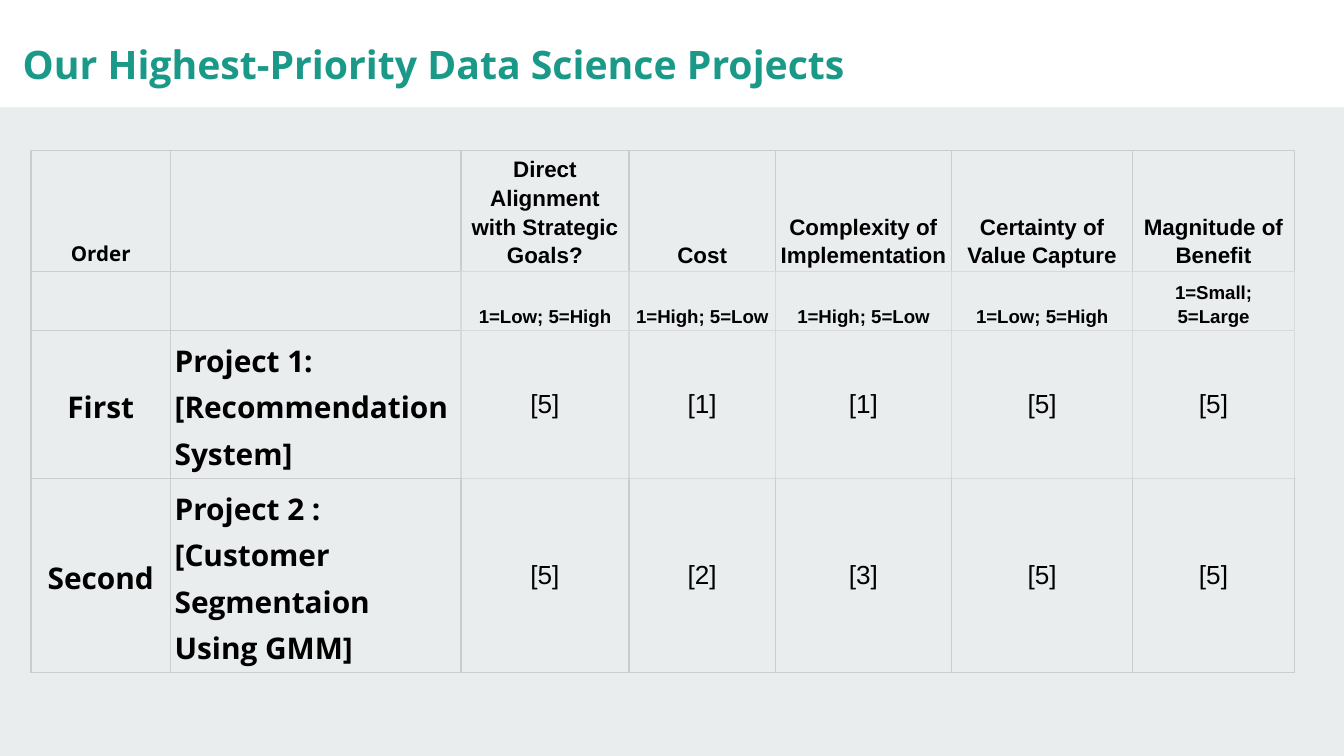
from lxml import etree
from pptx import Presentation
from pptx.dml.color import RGBColor
from pptx.enum.shapes import MSO_SHAPE
from pptx.enum.text import MSO_ANCHOR, PP_ALIGN
from pptx.oxml.ns import qn
from pptx.util import Inches, Pt

RECTANGLE = MSO_SHAPE.RECTANGLE
MIDDLE, BOTTOM = MSO_ANCHOR.MIDDLE, MSO_ANCHOR.BOTTOM
LEFT, CENTER = PP_ALIGN.LEFT, PP_ALIGN.CENTER

SLIDE_WIDTH = Inches(10)
SLIDE_HEIGHT = Inches(10 * 9 / 16)
COLUMN_WIDTHS = [1.04, 2.16, 1.25, 1.09, 1.31, 1.35, 1.2]
ROW_HEIGHTS = [0.34, 0.44, 0.44, 0.44]
RANKING = [
    ["Order", "", "Direct Alignment with Strategic Goals?", "Cost",
     "Complexity of Implementation", "Certainty of Value Capture",
     "Magnitude of Benefit"],
    ["", "", "1=Low; 5=High", "1=High; 5=Low", "1=High; 5=Low",
     "1=Low; 5=High", "1=Small; 5=Large"],
    ["First", "Project 1:\n[Recommendation System]",
     "[5]", "[1]", "[1]", "[5]", "[5]"],
    ["Second", "Project 2 :\n[Customer Segmentaion Using GMM]",
     "[5]", "[2]", "[3]", "[5]", "[5]"],
]
EDGES = {"a:lnL": (0, -1), "a:lnR": (0, 1), "a:lnT": (-1, 0), "a:lnB": (1, 0)}

TITLE = {"name": "Open Sans", "size": Pt(21), "bold": True}
ORDER = {"name": "Open Sans", "size": Pt(11), "bold": True}
CRITERION = {"name": "Arial", "size": Pt(12), "bold": True}
SCALE = {"name": "Arial", "size": Pt(10), "bold": True}
PROJECT = {"name": "Open Sans", "size": Pt(16), "bold": True}
SCORE = {"name": "Arial", "size": Pt(14), "bold": False}


def rgb(color):
    return RGBColor.from_string(color)


def write(frame, text, font_format, color, align, spacing):
    frame.text = text
    for paragraph in frame.paragraphs:
        paragraph.alignment = align
        paragraph.line_spacing = spacing
        for run in paragraph.runs:
            run.font.color.rgb = rgb(color)
            for attribute, value in font_format.items():
                setattr(run.font, attribute, value)


def add_title_band(slide):
    band = slide.shapes.add_shape(RECTANGLE, 0, 0, SLIDE_WIDTH, Inches(0.8))
    band.shadow.inherit = False
    band.fill.solid()
    band.fill.fore_color.rgb = rgb("FFFFFF")
    band.line.fill.background()


def add_title(slide, text):
    title = slide.shapes.add_textbox(
        Inches(0.07), Inches(0.15), Inches(8.44), Inches(0.37))
    frame = title.text_frame
    frame.word_wrap = True
    for side in ("left", "right", "top", "bottom"):
        setattr(frame, f"margin_{side}", Inches(0.1))
    write(frame, text, TITLE, "1A9988", LEFT, 1.15)


def is_rated(row, column):
    return row in (1, 2) and column >= 2


def draw_borders(cell, row, column):
    properties = cell._tc.get_or_add_tcPr()
    for tag, (down, across) in EDGES.items():
        light = is_rated(row, column) or is_rated(row + down, column + across)
        border = etree.SubElement(properties, qn(tag), w=str(Pt(0.75)))
        fill = etree.SubElement(border, qn("a:solidFill"))
        etree.SubElement(fill, qn("a:srgbClr"),
                         val="D9D9D9" if light else "CCCCCC")


def font_format_for(row, column):
    if row >= 2:
        return PROJECT if column < 2 else SCORE
    if column < 2:
        return ORDER
    return CRITERION if row == 0 else SCALE


def fill_cell(cell, row, column, text):
    font_format = font_format_for(row, column)
    vertical = 0.02 if font_format in (CRITERION, SCALE) else 0.03
    cell_format = {
        "margin_left": Inches(0.03), "margin_right": Inches(0.03),
        "margin_top": Inches(vertical), "margin_bottom": Inches(vertical),
        "vertical_anchor": BOTTOM if row < 2 else MIDDLE,
    }
    for attribute, value in cell_format.items():
        setattr(cell, attribute, value)
    draw_borders(cell, row, column)
    cell.fill.background()
    align = LEFT if column == 1 else CENTER
    spacing = None if font_format is SCORE else 1.15
    write(cell.text_frame, text, font_format, "000000", align, spacing)


def add_ranking(slide):
    height = Inches(3.62)
    frame = slide.shapes.add_table(
        len(ROW_HEIGHTS), len(COLUMN_WIDTHS),
        Inches(0.23), Inches(1.12), Inches(9.39), height)
    ranking = frame.table
    ranking.first_row = False
    ranking.horz_banding = False
    for column, width in zip(ranking.columns, COLUMN_WIDTHS):
        column.width = Inches(width)
    for row, row_height in zip(ranking.rows, ROW_HEIGHTS):
        row.height = Inches(row_height)
    frame.width = Inches(9.39)
    frame.height = height
    for row, texts in enumerate(RANKING):
        for column, text in enumerate(texts):
            fill_cell(ranking.cell(row, column), row, column, text)


def main():
    presentation = Presentation()
    presentation.slide_width = SLIDE_WIDTH
    presentation.slide_height = SLIDE_HEIGHT
    slide = presentation.slides.add_slide(presentation.slide_layouts[6])
    slide.background.fill.solid()
    slide.background.fill.fore_color.rgb = rgb("E9EDEE")
    add_title_band(slide)
    add_ranking(slide)
    add_title(slide, "Our Highest-Priority Data Science Projects")
    presentation.save("out.pptx")


if __name__ == "__main__":
    main()
